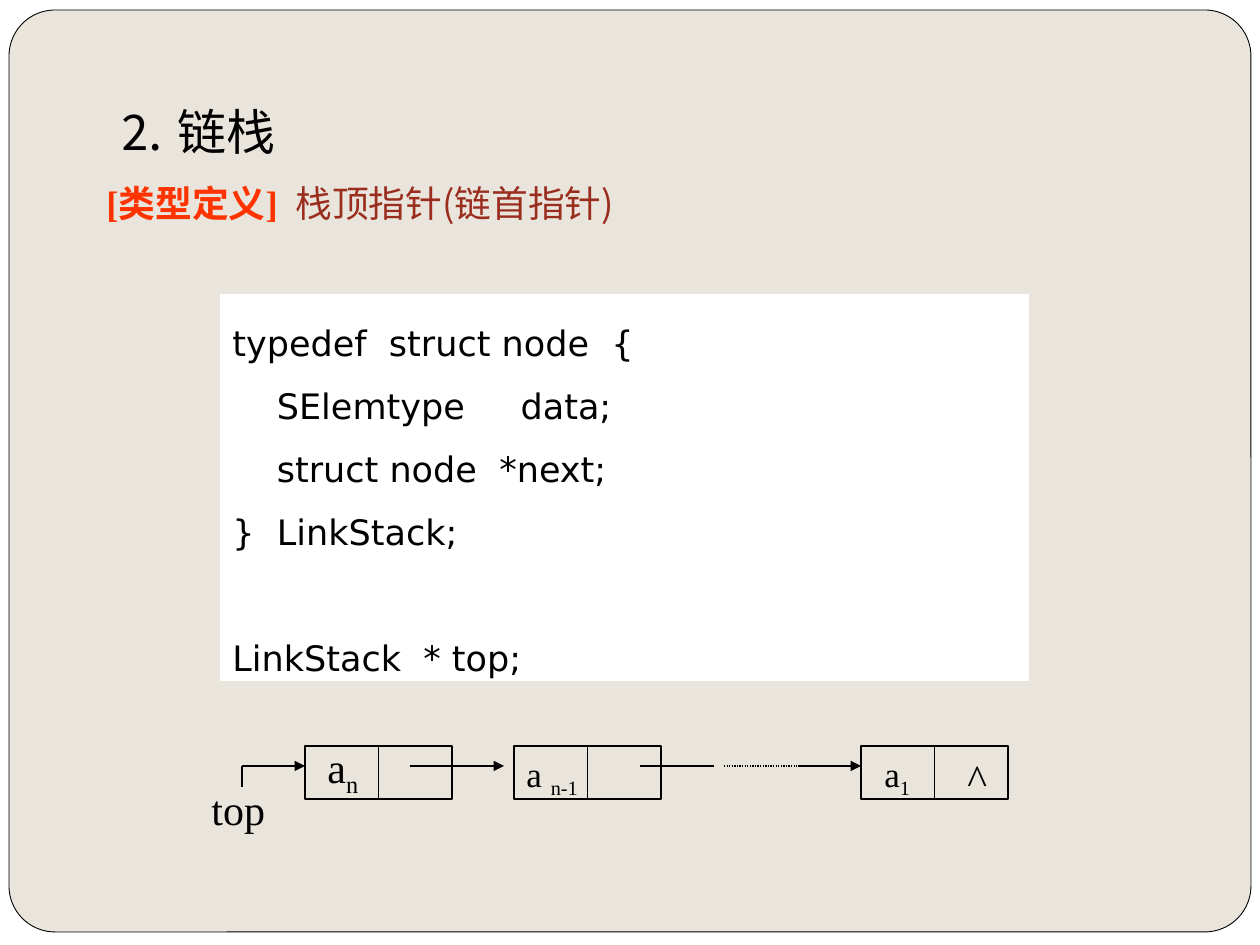
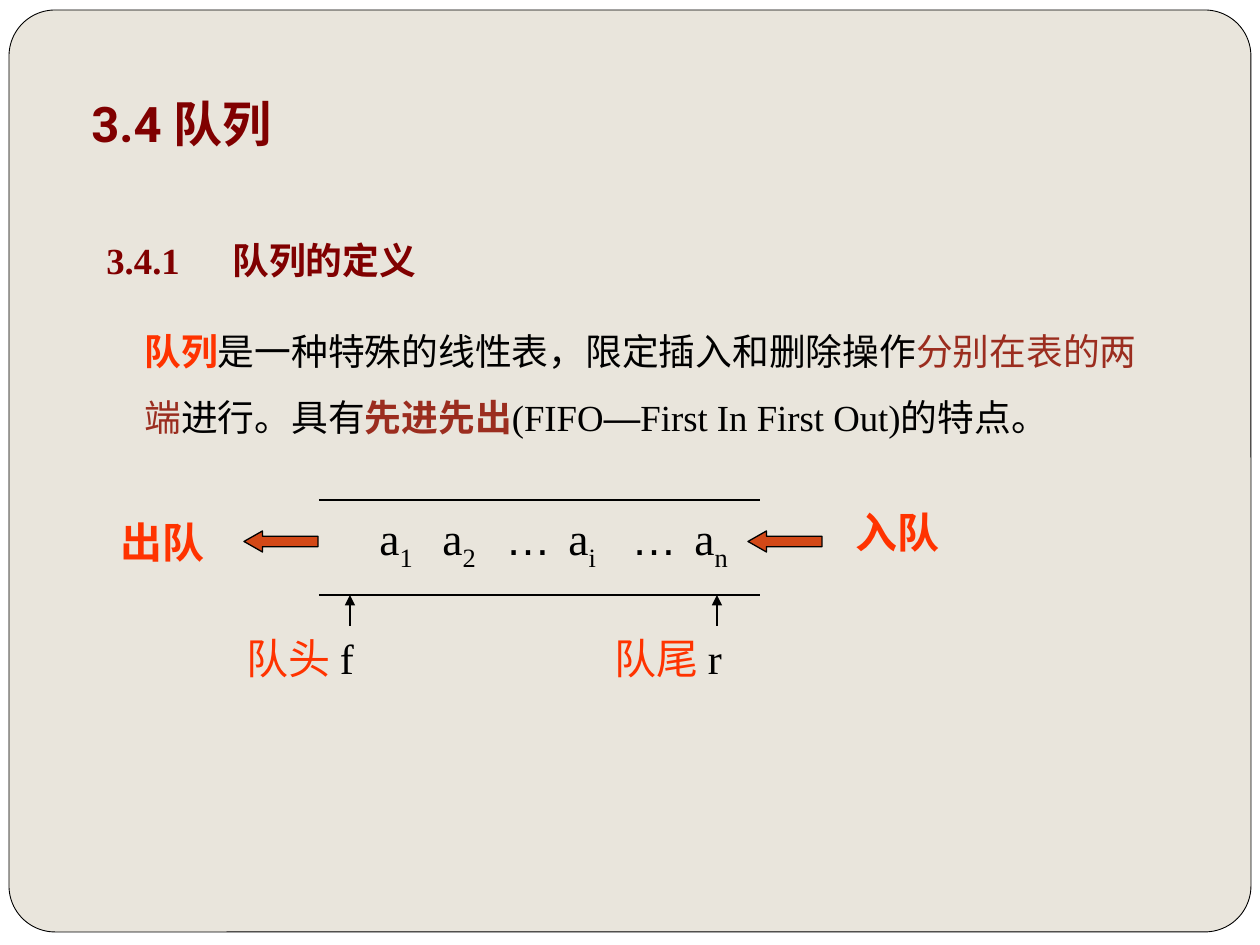
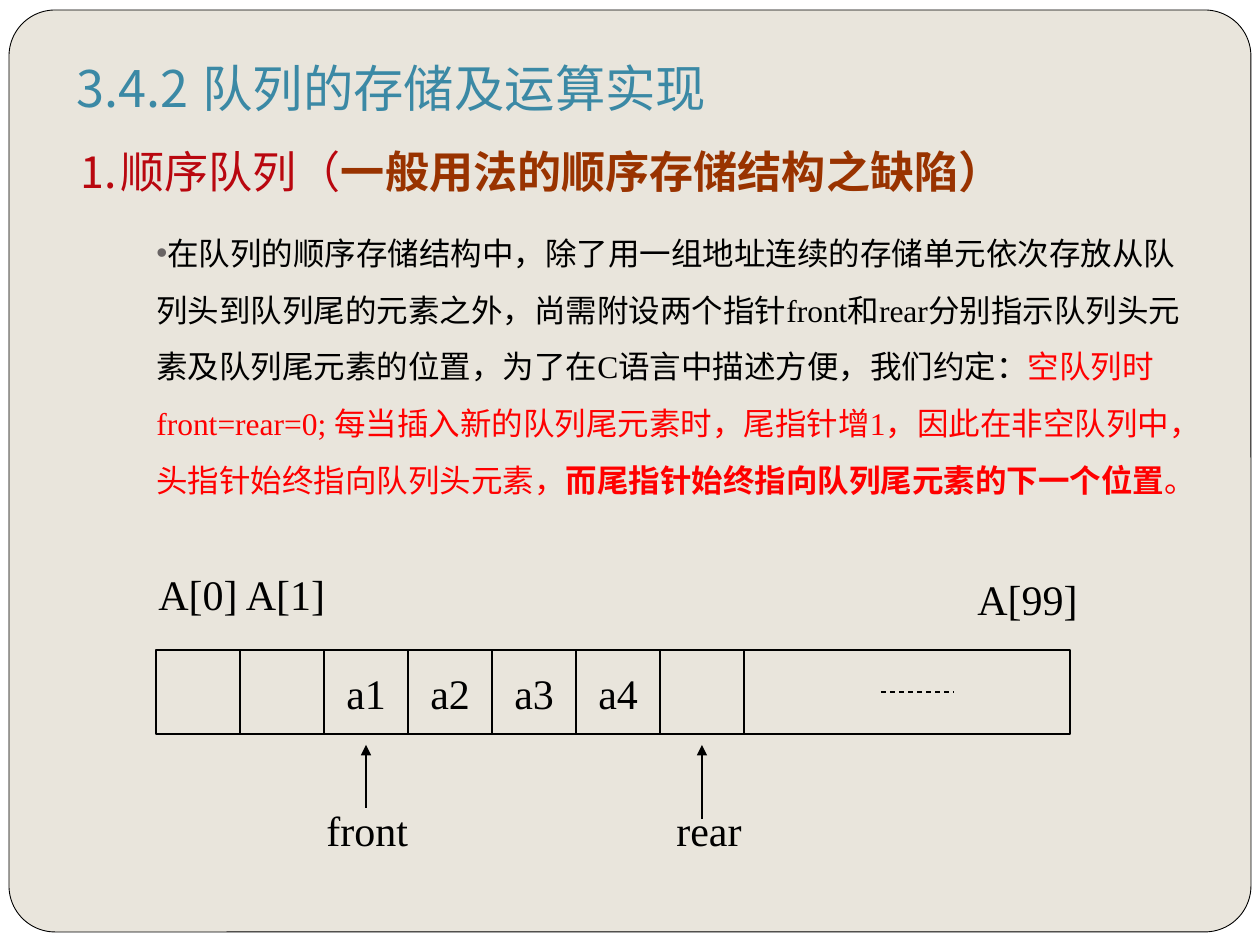
from lxml import etree
from pptx import Presentation
from pptx.dml.color import RGBColor
from pptx.enum.dml import MSO_LINE
from pptx.enum.shapes import MSO_CONNECTOR, MSO_SHAPE
from pptx.enum.text import MSO_ANCHOR
from pptx.oxml.ns import qn
from pptx.util import Pt

PX = 914400 / 126
BLACK = RGBColor(0x00, 0x00, 0x00)
WHITE = RGBColor(0xFF, 0xFF, 0xFF)
SAND = RGBColor(0xE9, 0xE5, 0xDC)
ORANGE = RGBColor(0xFF, 0x33, 0x00)
BRICK = RGBColor(0x9B, 0x2D, 0x1F)
MAROON = RGBColor(0x80, 0x00, 0x00)
ARROW = RGBColor(0xD3, 0x48, 0x17)
TEAL = RGBColor(0x3B, 0x89, 0xA5)
CRIMSON = RGBColor(0xB9, 0x07, 0x0F)
BROWN = RGBColor(0x99, 0x33, 0x00)
RED = RGBColor(0xFF, 0x00, 0x00)
GREY = "696464"
SERIF, SANS, CJK, ROBOTO, CODE = (
    "Times New Roman", "Arial", "Noto Sans CJK SC", "Roboto", "DejaVu Sans")

SUB = {"sub": True}
BOLD_ORANGE = {"color": ORANGE, "bold": True}

# Slide 1: linked stack
STACK_TYPE = [("[类型定义]\t", BOLD_ORANGE),
              ("栈顶指针(链首指针)", {"font": CJK, "color": BRICK})]
STACK_CODE = ["typedef  struct node  {", "    SElemtype     data;",
              "    struct node  *next;", "}  LinkStack;"]
STACK_POINTER = "LinkStack  * top;"
NODE_LEFTS = [305, 514, 861]
NODE_TOP, NODE_WIDTH, NODE_HEIGHT, LINK_Y = 746, 147, 53, 766
LINKS = [(410, 504, True, None), (640, 714, False, None), (798, 861, True, None),
         (724, 819, False, MSO_LINE.ROUND_DOT), (242, 305, True, None)]
STACK_LABELS = [
    ((199, 777, 116, 63), 24, ["top"]),
    ((955, 746, 73, 63), 24, ["^"]),
    ((872, 746, 63, 54), 20, ["a", ("1", SUB)]),
    ((514, 746, 95, 54), 20, ["a ", ("n-1", SUB)]),
    ((315, 735, 63, 63), 24, ["a", ("n", SUB)]),
]

# Slide 2: queue definition
QUEUE_DEFINITION = [
    ("队列", BOLD_ORANGE), "是一种特殊的线性表，限定插入和删除操作",
    ("分别在表的两端", {"color": BRICK}), "进行。具有",
    ("先进先出", {"color": BRICK, "bold": True}), "(FIFO",
    ("—", {"font": SANS}), "First In First Out)的特点。"]
DOTS = ("…", {"font": SANS})
QUEUE_ITEMS = ["a", ("1", SUB), "\ta", ("2", SUB), "\t", DOTS, "\ta", ("i", SUB),
               "\t", DOTS, "\ta", ("n", SUB)]
QUEUE_TABS = [90, 149, 215, 269, 334]
QUEUE_LABELS = [
    ((234, 626, 158, 63), [("队头 ", {"color": ORANGE}), "f"]),
    ((602, 626, 252, 63), [("队尾 ", {"color": ORANGE}), "r"]),
    ((108, 510, 158, 63), [("出队", BOLD_ORANGE)]),
    ((843, 500, 126, 63), [("入队", BOLD_ORANGE)]),
]

# Slide 3: sequential queue
STORAGE_TEXT = [
    "在队列的顺序存储结构中，除了用一组地址连续的存储单元依次存放从队列头到队列尾的元素之外，"
    "尚需附设两个指针front和rear分别指示队列头元素及队列尾元素的位置，"
    "为了在C语言中描述方便，我们约定：",
    ("空队列时front=rear=0; 每当插入新的队列尾元素时，尾指针增1，因此在非空队列中，"
     "头指针始终指向队列头元素，", {"color": RED}),
    ("而尾指针始终指向队列尾元素的下一个位置", {"color": RED, "bold": True}),
    ("。", {"color": RED})]
ARRAY_LEFT, ARRAY_TOP, ARRAY_WIDTH, CELL = 156, 650, 914, 84
CELL_ITEMS = ["a1", "a2", "a3", "a4"]
ARRAY_LABELS = [("front", 314, 798), ("rear", 664, 798),
                ("A[0] A[1]", 146, 562), ("A[99]", 965, 567)]


def emu(*lengths):
    return [round(length * PX) for length in lengths]


def sub_element(parent, tag, **attributes):
    return etree.SubElement(parent, qn(tag), attributes)


def add_box(page, place, anchor=MSO_ANCHOR.TOP, bottom_inset=6):
    box = page.shapes.add_textbox(*emu(*place))
    frame = box.text_frame
    frame.word_wrap = True
    frame.vertical_anchor = anchor
    frame.margin_bottom = emu(bottom_inset)[0]
    return box


def write(box, spans, size, font=SERIF, color=BLACK, bold=False, spacing=None,
          before=None, indent=0, tabs=(), bullet=None):
    """Add one paragraph; a span is a text or a (text, differences) pair."""
    frame = box.text_frame
    para = frame.paragraphs[0] if not frame.text else frame.add_paragraph()
    properties = para._p.get_or_add_pPr()
    properties.set("marL", str(emu(indent)[0]))
    properties.set("indent", "0")
    if bullet:
        bullet_color = sub_element(properties, "a:buClr")
        sub_element(bullet_color, "a:srgbClr", val=GREY)
        sub_element(properties, "a:buFont", typeface=SANS)
        sub_element(properties, "a:buChar", char=bullet)
    if tabs:
        tab_list = sub_element(properties, "a:tabLst")
        for tab in tabs:
            sub_element(tab_list, "a:tab", pos=str(emu(tab)[0]), algn="l")
    if spacing:
        para.line_spacing = spacing
    if before:
        para.space_before = Pt(before)
    para.font.size, para.font.name, para.font.bold = Pt(size), font, bold
    para.font.color.rgb = color
    for entry in spans:
        text, style = (entry, {}) if isinstance(entry, str) else entry
        span = para.add_run()
        span.text = text
        if "font" in style:
            span.font.name = style["font"]
        if "color" in style:
            span.font.color.rgb = style["color"]
        if "bold" in style:
            span.font.bold = style["bold"]
        if "sub" in style:
            span._r.get_or_add_rPr().set("baseline", "-25000")


def add_shape(page, kind, place, fill=None, width=0.75):
    shape = page.shapes.add_shape(kind, *emu(*place))
    shape.shadow.inherit = False
    if fill is None:
        shape.fill.background()
    else:
        shape.fill.solid()
        shape.fill.fore_color.rgb = fill
    shape.line.color.rgb = BLACK
    shape.line.width = Pt(width)
    return shape


def add_line(page, x1, y1, x2, y2, arrow=False, dash=None):
    line = page.shapes.add_connector(MSO_CONNECTOR.STRAIGHT, *emu(x1, y1, x2, y2))
    line.line.color.rgb = BLACK
    line.line.width = Pt(0.75)
    if dash is not None:
        line.line.dash_style = dash
    if arrow:
        sub_element(line.line._get_or_add_ln(), "a:tailEnd", type="triangle")
    sub_element(line._element.spPr, "a:effectLst")


def add_page(deck):
    page = deck.slides.add_slide(deck.slide_layouts[6])
    page.background.fill.solid()
    page.background.fill.fore_color.rgb = WHITE
    panel = add_shape(page, MSO_SHAPE.ROUNDED_RECTANGLE, (9, 10, 1242, 922), SAND, 0.5)
    panel.adjustments[0] = 0.05
    return page


def build_linked_stack(deck):
    page = add_page(deck)
    title = add_box(page, (105, 106, 694, 60), MSO_ANCHOR.BOTTOM)
    write(title, ["⒉ 链栈"], 28, CJK)
    write(add_box(page, (94, 175, 1071, 70)), STACK_TYPE, 21, tabs=[262])
    for left in NODE_LEFTS:
        add_shape(page, MSO_SHAPE.RECTANGLE, (left, NODE_TOP, NODE_WIDTH, NODE_HEIGHT))
        middle = left + NODE_WIDTH / 2
        add_line(page, middle, NODE_TOP, middle, NODE_TOP + NODE_HEIGHT)
    for start, end, arrow, dash in LINKS:
        add_line(page, start, LINK_Y, end, LINK_Y, arrow, dash)
    add_line(page, 242, LINK_Y, 242, 787)
    for place, size, spans in STACK_LABELS:
        write(add_box(page, place), spans, size)
    listing = add_box(page, (220, 294, 809, 387))
    listing.fill.solid()
    listing.fill.fore_color.rgb = WHITE
    for code in STACK_CODE:
        write(listing, [code], 20, CODE, spacing=1.5)
    write(listing, [STACK_POINTER], 20, CODE, spacing=1.5, before=36)


def build_queue_definition(deck):
    page = add_page(deck)
    title = add_box(page, (79, 42, 1103, 123), MSO_ANCHOR.BOTTOM, 13)
    write(title, ["3.4 队列"], 28, ROBOTO, MAROON, True)
    body = add_box(page, (94, 210, 1071, 260))
    write(body, ["3.4.1\t队列的定义"], 21, color=MAROON, bold=True, spacing=1.5, tabs=[110])
    write(body, QUEUE_DEFINITION, 21, spacing=1.5, before=14, indent=38)
    write(add_box(page, (367, 504, 420, 70)), QUEUE_ITEMS, 26, tabs=QUEUE_TABS)
    for y in (500, 595):
        add_line(page, 319, y, 760, y)
    for x in (350, 717):
        add_line(page, x, 626, x, 595, arrow=True)
    for place, spans in QUEUE_LABELS:
        write(add_box(page, place), spans, 24)
    for left in (244, 748):
        arrow = add_shape(page, MSO_SHAPE.LEFT_ARROW, (left, 531, 74, 21), ARROW)
        arrow.adjustments[1] = 0.88


def build_sequential_queue(deck):
    page = add_page(deck)
    title = add_box(page, (64, 78, 1121, 132), MSO_ANCHOR.BOTTOM, 13)
    write(title, ["3.4.2\t队列的存储及运算实现"], 28.8, CJK, TEAL, spacing=1.5, tabs=[148])
    write(title, ["⒈顺序队列（", ("一般用法的顺序存储结构之缺陷）",
                             {"font": ROBOTO, "color": BROWN, "bold": True})],
          25.2, CJK, CRIMSON, spacing=1.5)
    write(add_box(page, (144, 209, 1071, 375)), STORAGE_TEXT, 18, spacing=1.5, bullet="•")
    add_shape(page, MSO_SHAPE.RECTANGLE, (ARRAY_LEFT, ARRAY_TOP, ARRAY_WIDTH, CELL))
    for column in range(1, 8):
        x = ARRAY_LEFT + column * CELL
        add_line(page, x, ARRAY_TOP, x, ARRAY_TOP + CELL)
    add_line(page, 881, 692, 954, 692, dash=MSO_LINE.DASH)
    for column, item in enumerate(CELL_ITEMS, start=2):
        left = ARRAY_LEFT + column * CELL + 10
        write(add_box(page, (left, 661, 74, 63)), [item], 24)
    for text, left, top in ARRAY_LABELS:
        write(add_box(page, (left, top, 200, 63)), [text], 24)
    for x, y in ((366, 808), (702, 819)):
        add_line(page, x, y, x, 745, arrow=True)


def main():
    deck = Presentation()
    deck.slide_width, deck.slide_height = emu(1260, 945)
    build_linked_stack(deck)
    build_queue_definition(deck)
    build_sequential_queue(deck)
    deck.save("out.pptx")


if __name__ == "__main__":
    main()
